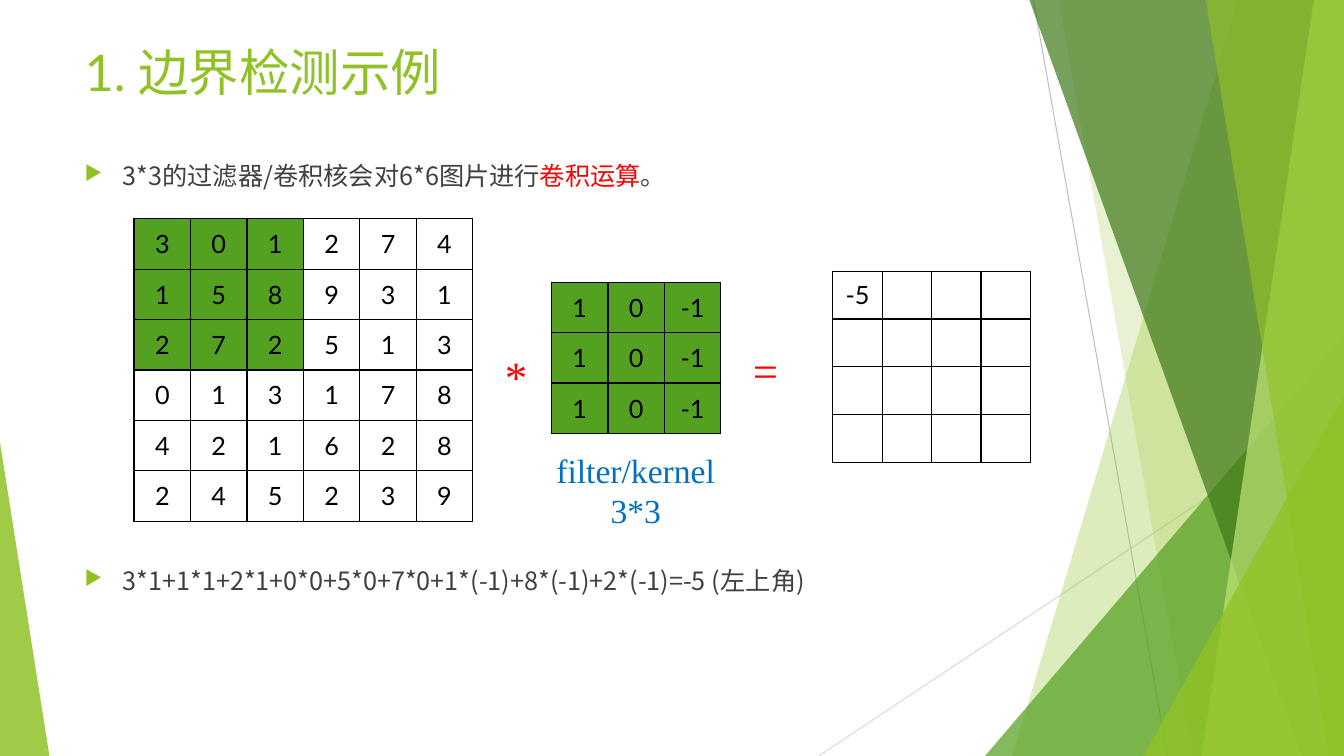
from dataclasses import dataclass

from lxml import etree
from pptx import Presentation
from pptx.dml.color import RGBColor
from pptx.enum.shapes import MSO_CONNECTOR, MSO_SHAPE
from pptx.enum.text import MSO_ANCHOR, PP_ALIGN
from pptx.oxml.ns import qn
from pptx.util import Inches, Pt

STRAIGHT = MSO_CONNECTOR.STRAIGHT
TRIANGLE = MSO_SHAPE.ISOSCELES_TRIANGLE
MIDDLE = MSO_ANCHOR.MIDDLE
LEFT = PP_ALIGN.LEFT
CENTER = PP_ALIGN.CENTER


@dataclass(frozen=True)
class Theme:
    lime: str = "90C226"
    green: str = "54A021"
    forest: str = "3F7819"
    pale: str = "C0E474"
    gray: str = "BFBFBF"
    light_gray: str = "D9D9D9"
    body: str = "404040"
    red: str = "FF0000"
    blue: str = "0070C0"
    black: str = "000000"
    white: str = "FFFFFF"
    latin: str = "Lato"
    chinese: str = "Noto Sans CJK SC"
    serif: str = "Times New Roman"
    title_size: int = 36
    body_size: int = 18
    label_size: int = 24
    operator_size: int = 32


THEME = Theme()
SLIDE_WIDTH = 13.33
SLIDE_HEIGHT = 7.5


@dataclass(frozen=True)
class Ray:
    start: tuple[float, float]
    end: tuple[float, float]
    color: str


@dataclass(frozen=True)
class Panel:
    top_x: float
    bottom_x: float
    color: str
    opacity: int


@dataclass(frozen=True)
class Wedge:
    left: float
    top: float
    width: float
    apex: float
    color: str
    opacity: int


@dataclass(frozen=True)
class Span:
    text: str
    size: int
    font: str
    color: str


@dataclass(frozen=True)
class Line:
    spans: list[Span]
    alignment: PP_ALIGN = LEFT
    bullet: bool = False
    space_before: float = 0


@dataclass(frozen=True)
class Label:
    box: tuple[float, float, float, float]
    lines: list[Line]
    wrap: bool = True


@dataclass(frozen=True)
class Matrix:
    box: tuple[float, float, float, float]
    rows: list[list[str]]
    shaded: int


RAYS = [
    Ray((10.25, 0), (11.58, SLIDE_HEIGHT), THEME.gray),
    Ray((SLIDE_WIDTH, 4.03), (8.12, SLIDE_HEIGHT), THEME.light_gray),
]
FACETS = [
    Panel(12.28, 10.04, THEME.lime, 30),
    Panel(10.5, 11.83, THEME.lime, 20),
    Wedge(9.77, 3.33, 3.56, 1, THEME.green, 72),
    Panel(10.21, 12.91, THEME.forest, 70),
    Panel(13.03, 11.92, THEME.pale, 70),
    Panel(11.96, 13.18, THEME.lime, 65),
    Wedge(11.34, 3.93, 1.99, 1, THEME.lime, 80),
    Wedge(0, 4.39, 0.49, 0, THEME.lime, 85),
]


def body_span(text: str, color: str = THEME.body) -> Span:
    return Span(text, THEME.body_size, THEME.chinese, color)


def filter_span(text: str) -> Span:
    return Span(text, THEME.label_size, THEME.serif, THEME.blue)


def operator(text: str, left: float, top: float) -> Label:
    span = Span(text, THEME.operator_size, THEME.serif, THEME.red)
    return Label((left, top, 0.37, 0.64), [Line([span])])


LABELS = [
    Label((0.74, 0.36, 9.4, 0.81),
          [Line([Span("1. 边界检测示例", THEME.title_size, THEME.latin, THEME.lime)])]),
    Label((0.74, 1.39, 9.7, 5.22), [
        Line([body_span("3*3的过滤器/卷积核会对6*6图片进行"),
              body_span("卷积运算", THEME.red), body_span("。")],
             bullet=True, space_before=10),
        Line([body_span("3*1+1*1+2*1+0*0+5*0+7*0+1*(-1)+8*(-1)+2*(-1)=-5 (左上角)")],
             bullet=True, space_before=257),
    ]),
    Label((5.42, 4.41, 1.79, 0.91),
          [Line([filter_span("filter/kernel")]), Line([filter_span("3*3")], CENTER)],
          wrap=False),
    operator("=", 7.37, 3.35),
    operator("*", 4.91, 3.41),
]
IMAGE_ROWS = ["301274", "158931", "272513", "013178", "421628", "245239"]
MATRICES = [
    Matrix((1.33, 2.17, 3.36, 3), [list(row) for row in IMAGE_ROWS], 3),
    Matrix((5.47, 2.8, 1.68, 1.5), [["1", "0", "-1"]] * 3, 3),
    Matrix((8.26, 2.69, 1.96, 1.9), [["-5", "", "", ""]] + [[""] * 4] * 3, 0),
]


def paint(shape, color: str, opacity: int) -> None:
    shape.shadow.inherit = False
    shape.line.fill.background()
    shape.fill.solid()
    shape.fill.fore_color.rgb = RGBColor.from_string(color)
    color_element = shape.element.spPr.find(qn("a:solidFill")).find(qn("a:srgbClr"))
    etree.SubElement(color_element, qn("a:alpha"), val=str(opacity * 1000))


def draw_ray(slide, ray: Ray) -> None:
    points = [Inches(value) for value in ray.start + ray.end]
    connector = slide.shapes.add_connector(STRAIGHT, *points)
    connector.line.width = Pt(0.75)
    connector.line.color.rgb = RGBColor.from_string(ray.color)
    etree.SubElement(connector.element.spPr, qn("a:effectLst"))


def draw_panel(slide, panel: Panel) -> None:
    right, bottom = Inches(SLIDE_WIDTH), Inches(SLIDE_HEIGHT)
    builder = slide.shapes.build_freeform(Inches(panel.top_x), 0)
    builder.add_line_segments([(right, 0), (right, bottom), (Inches(panel.bottom_x), bottom)])
    paint(builder.convert_to_shape(), panel.color, panel.opacity)


def draw_wedge(slide, wedge: Wedge) -> None:
    box = (wedge.left, wedge.top, wedge.width, SLIDE_HEIGHT - wedge.top)
    shape = slide.shapes.add_shape(TRIANGLE, *map(Inches, box))
    shape.adjustments[0] = wedge.apex
    paint(shape, wedge.color, wedge.opacity)


def add_span(paragraph, span: Span) -> None:
    run = paragraph.add_run()
    run.text = span.text
    run.font.size = Pt(span.size)
    run.font.name = span.font
    run.font.color.rgb = RGBColor.from_string(span.color)
    east_asian = etree.SubElement(run.font._element, qn("a:ea"))
    east_asian.set("typeface", THEME.chinese)


def add_bullet(paragraph) -> None:
    properties = paragraph._p.get_or_add_pPr()
    properties.set("marL", str(Inches(0.38)))
    properties.set("indent", str(-Inches(0.38)))
    color = etree.SubElement(properties, qn("a:buClr"))
    etree.SubElement(color, qn("a:srgbClr"), val=THEME.lime)
    etree.SubElement(properties, qn("a:buSzPct"), val="80000")
    etree.SubElement(properties, qn("a:buChar"), char="▶")


def draw_label(slide, label: Label) -> None:
    frame = slide.shapes.add_textbox(*map(Inches, label.box)).text_frame
    frame.word_wrap = label.wrap
    for index, line in enumerate(label.lines):
        paragraph = frame.add_paragraph() if index else frame.paragraphs[0]
        paragraph.alignment = line.alignment
        if line.bullet:
            paragraph.line_spacing = 1.5
            paragraph.space_before = Pt(line.space_before)
            add_bullet(paragraph)
        for span in line.spans:
            add_span(paragraph, span)


def add_borders(cell) -> None:
    properties = cell._tc.get_or_add_tcPr()
    for side in ("a:lnL", "a:lnR", "a:lnT", "a:lnB"):
        border = etree.SubElement(properties, qn(side), w=str(Pt(1)))
        fill = etree.SubElement(border, qn("a:solidFill"))
        etree.SubElement(fill, qn("a:srgbClr"), val=THEME.black)


def draw_matrix(slide, matrix: Matrix) -> None:
    size = len(matrix.rows)
    table = slide.shapes.add_table(size, size, *map(Inches, matrix.box)).table
    table.first_row = False
    table.horz_banding = False
    for row, values in enumerate(matrix.rows):
        for column, value in enumerate(values):
            cell = table.cell(row, column)
            add_borders(cell)
            shaded = max(row, column) < matrix.shaded
            cell.fill.solid()
            cell.fill.fore_color.rgb = RGBColor.from_string(THEME.green if shaded else THEME.white)
            cell.vertical_anchor = MIDDLE
            if value:
                paragraph = cell.text_frame.paragraphs[0]
                paragraph.alignment = CENTER
                add_span(paragraph, Span(value, THEME.body_size, THEME.latin, THEME.black))


def main() -> None:
    presentation = Presentation()
    presentation.slide_width = Inches(SLIDE_WIDTH)
    presentation.slide_height = Inches(SLIDE_HEIGHT)
    slide = presentation.slides.add_slide(presentation.slide_layouts[6])
    for ray in RAYS:
        draw_ray(slide, ray)
    for facet in FACETS:
        if isinstance(facet, Panel):
            draw_panel(slide, facet)
        else:
            draw_wedge(slide, facet)
    for label in LABELS:
        draw_label(slide, label)
    for matrix in MATRICES:
        draw_matrix(slide, matrix)
    presentation.save("out.pptx")


if __name__ == "__main__":
    main()
